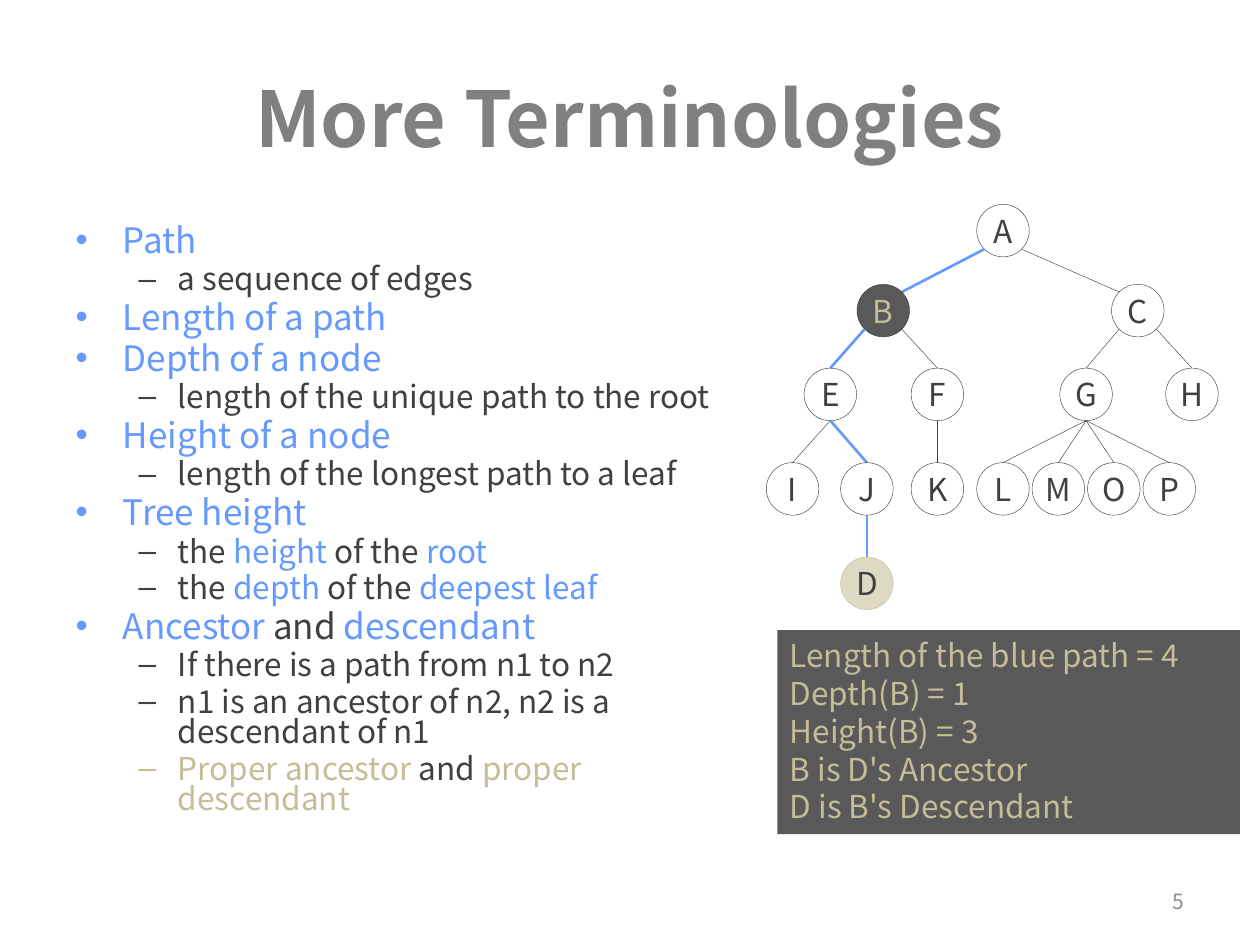
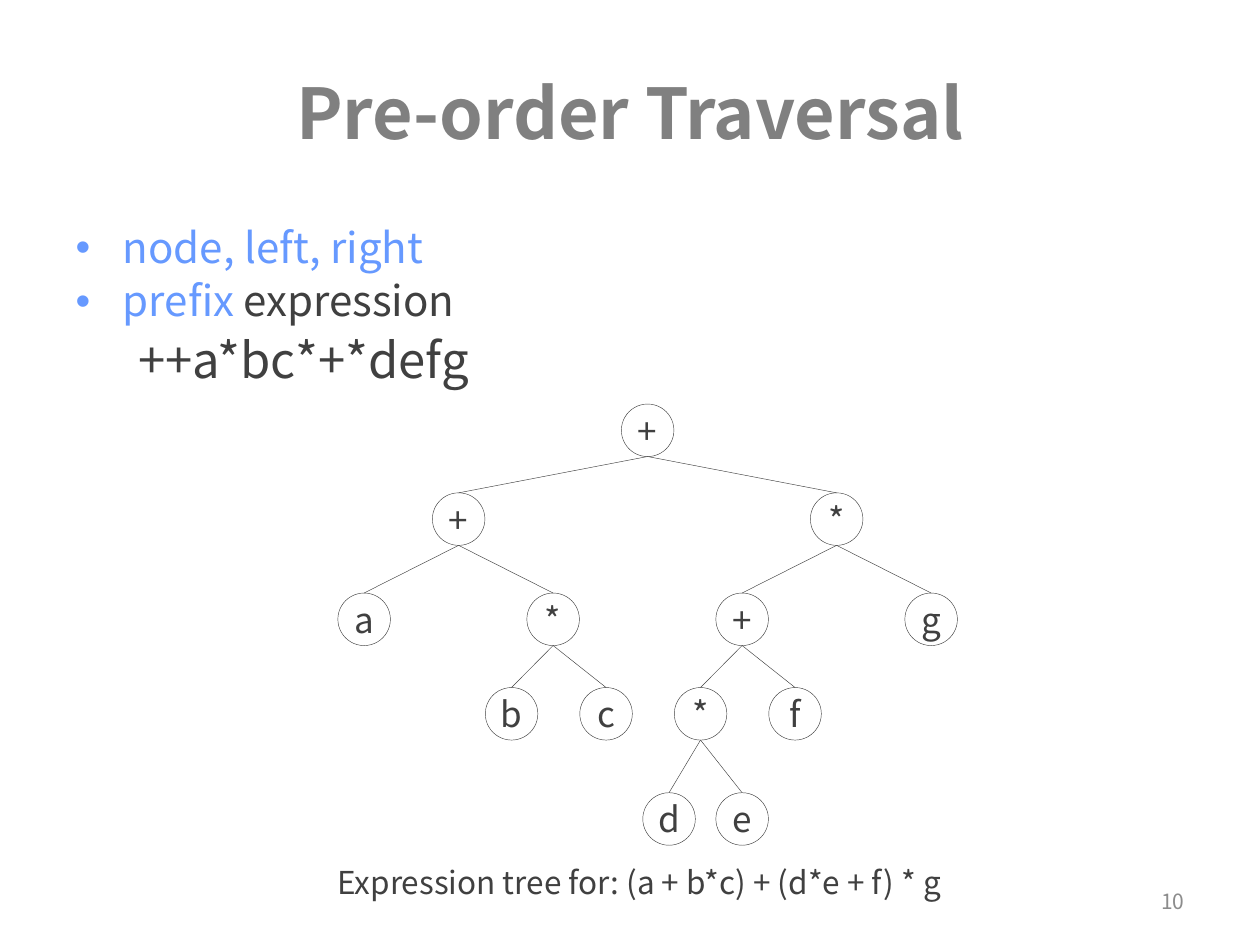
from dataclasses import dataclass
from math import sqrt

from lxml import etree
from pptx import Presentation
from pptx.dml.color import RGBColor
from pptx.enum.shapes import MSO_CONNECTOR, MSO_SHAPE
from pptx.enum.text import MSO_ANCHOR, MSO_AUTO_SIZE, PP_ALIGN
from pptx.oxml.ns import qn
from pptx.util import Inches, Pt

OVAL, RECT, STRAIGHT = MSO_SHAPE.OVAL, MSO_SHAPE.RECTANGLE, MSO_CONNECTOR.STRAIGHT
TOP, MIDDLE = MSO_ANCHOR.TOP, MSO_ANCHOR.MIDDLE
LEFT, CENTER, RIGHT = PP_ALIGN.LEFT, PP_ALIGN.CENTER, PP_ALIGN.RIGHT
NO_FIT = MSO_AUTO_SIZE.NONE

# The slide is a grid of 100 columns by 75 rows of square cells
COLS, ROWS = 100, 75
CELL = Inches(0.1)


@dataclass(frozen=True)
class Theme:
    font: str = "Noto Sans CJK SC"
    grey: str = "808080"
    blue: str = "6699FF"
    ink: str = "404040"
    khaki: str = "C4BD97"
    sand: str = "DDD9C3"
    dark: str = "595959"
    footer: str = "8C8C8C"
    small: int = 12
    text: int = 18
    large: int = 20
    thin: float = 0.25
    thick: float = 1.5
    node: float = 4.17


T = Theme()
TITLE_BOX = (5, 3, 90, 12.5)
NUMBER_BOX = (71.7, 69.5, 23.3, 4)


# Shared helpers
def cells(*values):
    return [round(v * CELL) for v in values]


def set_all(obj, **values):
    for name, value in values.items():
        setattr(obj, name, value)


def rgb(colour):
    return RGBColor.from_string(colour)


def place(sp, box):
    set_all(sp, **dict(zip(("left", "top", "width", "height"), cells(*box))))


def add_runs(p, runs, size, bold=None):
    for text, colour in runs:
        r = p.add_run()
        r.text = text
        set_all(r.font, name=T.font, size=Pt(size), bold=bold)
        r.font.color.rgb = rgb(colour)


def write(sp, lines, size, colour, align=LEFT, anchor=TOP, wrap=True):
    tf = sp.text_frame
    set_all(tf, word_wrap=wrap, auto_size=NO_FIT, vertical_anchor=anchor)
    for i, line in enumerate(lines):
        p = tf.add_paragraph() if i else tf.paragraphs[0]
        p.alignment = align
        add_runs(p, [(line, colour)], size)


def add_box(shapes, kind, box, fill=None, line=None):
    sp = shapes.add_shape(kind, *cells(*box))
    sp.shadow.inherit = False
    if fill:
        sp.fill.solid()
        sp.fill.fore_color.rgb = rgb(fill)
    else:
        sp.fill.background()
    if line:
        sp.line.color.rgb = rgb(line)
        sp.line.width = Pt(T.thin)
    else:
        sp.line.fill.background()
    return sp


def add_text(shapes, box, line, size, colour, **layout):
    write(shapes.add_textbox(*cells(*box)), [line], size, colour, **layout)


# Title and page number, alike on every slide
def add_frame(prs, title, size, number, spacing=None):
    s = prs.slides.add_slide(prs.slide_layouts[1])
    sp = s.shapes.title
    place(sp, TITLE_BOX)
    set_all(sp.text_frame, auto_size=NO_FIT, vertical_anchor=MIDDLE)
    p = sp.text_frame.paragraphs[0]
    set_all(p, alignment=CENTER, line_spacing=spacing)
    add_runs(p, [(title, T.grey)], size, bold=True)
    add_text(s.shapes, NUMBER_BOX, number, T.small, T.footer,
             align=RIGHT, anchor=MIDDLE)
    return s


# Outline in the body placeholder; each item is (level, runs)
def add_outline(s, box, items, sizes, spacing):
    sp = s.placeholders[1]
    place(sp, box)
    tf = sp.text_frame
    tf.auto_size = NO_FIT
    for i, (level, runs) in enumerate(items):
        p = tf.add_paragraph() if i else tf.paragraphs[0]
        set_all(p, level=level, line_spacing=spacing)
        add_runs(p, runs, sizes[level])
    return tf


def drop_bullet(p, indent):
    pPr = p._p.get_or_add_pPr()
    pPr.set("marL", str(cells(indent)[0]))
    pPr.set("indent", "0")
    etree.SubElement(pPr, qn("a:buNone"))


# Trees: a node is (label, columns from its parent, children)
def add_edge(shapes, start, end, colour, width):
    c = shapes.add_connector(STRAIGHT, *cells(*start, *end))
    c.line.color.rgb = rgb(colour)
    c.line.width = Pt(width)
    etree.SubElement(c._element.spPr, qn("a:effectLst"))


def port(x, y, side, down, corner):
    """Point on a node's rim: a corner on the given side, or its top or foot."""
    radius = T.node / 2
    if corner:
        return x + side * radius / sqrt(2), y + down * radius / sqrt(2)
    return x, y + down * radius


def add_tree(shapes, node, x, rows, size, corners=0, route="", styles=None, depth=0):
    """Draw node centred at column x; levels above `corners` join at corners."""
    label, _, children = node
    y = rows[depth]
    fill, line, colour = (styles or {}).get(label, (None, T.ink, T.ink))
    box = (x - T.node / 2, y - T.node / 2, T.node, T.node)
    sp = add_box(shapes, OVAL, box, fill, line)
    write(sp, [label], size, colour, align=CENTER, anchor=MIDDLE, wrap=False)
    for child in children:
        name, dx, _ = child
        side = 1 if dx > 0 else -1
        on_route = label in route and name in route
        add_edge(shapes,
                 port(x, y, side, 1, depth < corners),
                 port(x + dx, rows[depth + 1], -side, -1, depth + 1 < corners),
                 *((T.blue, T.thick) if on_route else (T.ink, T.thin)))
        add_tree(shapes, child, x + dx, rows, size, corners, route, styles, depth + 1)


def leaf(label, dx):
    return label, dx, ()


# Slide content
TERMS = [
    (0, [("Path", T.blue)]),
    (1, [("a sequence of edges", T.ink)]),
    (0, [("Length of a path", T.blue)]),
    (0, [("Depth of a node", T.blue)]),
    (1, [("length of the unique path to the root", T.ink)]),
    (0, [("Height of a node", T.blue)]),
    (1, [("length of the longest path to a leaf", T.ink)]),
    (0, [("Tree height", T.blue)]),
    (1, [("the ", T.ink), ("height", T.blue), (" of the ", T.ink), ("root", T.blue)]),
    (1, [("the ", T.ink), ("depth", T.blue), (" of the ", T.ink),
         ("deepest leaf", T.blue)]),
    (0, [("Ancestor", T.blue), (" and ", T.ink), ("descendant", T.blue)]),
    (1, [("If there is a path from n1 to n2", T.ink)]),
    (1, [("n1 is an ancestor of n2, n2 is a descendant of n1", T.ink)]),
    (1, [("Proper ancestor ", T.khaki), ("and ", T.ink),
         ("proper descendant", T.khaki)]),
]
FACTS = ["Length of the blue path = 4", "Depth(B) = 1", "Height(B) = 3",
         "B is D's Ancestor", "D is B's Descendant"]
LETTER_TREE = ("A", 0, (
    ("B", -9.5, (
        ("E", -4.2, (leaf("I", -3), ("J", 2.9, (leaf("D", 0),)))),
        ("F", 4.3, (leaf("K", 0),)))),
    ("C", 10.7, (
        ("G", -4.1, (leaf("L", -6.6), leaf("M", -2.2), leaf("O", 2.2), leaf("P", 6.6))),
        leaf("H", 4.3)))))
NODE_STYLES = {"B": (T.dark, T.ink, T.khaki), "D": (T.sand, T.khaki, T.ink)}

PREFIX = [
    (0, [("node, left, right", T.blue)]),
    (0, [("prefix", T.blue), (" expression", T.ink)]),
    (1, [("++a*bc*+*defg", T.ink)]),
]
EXPRESSION_TREE = ("+", 0, (
    ("+", -15, (
        leaf("a", -7.5),
        ("*", 7.5, (leaf("b", -3.3), leaf("c", 4.2))))),
    ("*", 15, (
        ("+", -7.5, (
            ("*", -3.3, (leaf("d", -2.5), leaf("e", 3.3))),
            leaf("f", 4.2))),
        leaf("g", 7.5)))))


def terminology_slide(prs):
    s = add_frame(prs, "More Terminologies", 44, "5")
    add_outline(s, (5, 17.5, 53.3, 52), TERMS, (T.large, T.text), 0.8)
    add_tree(s.shapes, LETTER_TREE, 79.6, (18.3, 24.65, 31.3, 38.8, 46.3), T.text,
             corners=2, route="ABEJD", styles=NODE_STYLES)
    facts = add_box(s.shapes, RECT, (61.7, 50, 36.7, 16.2), T.dark)
    write(facts, FACTS, T.text, T.khaki)


def traversal_slide(prs):
    s = add_frame(prs, "Pre-order Traversal", 40, "10", spacing=0.9)
    tf = add_outline(s, (5, 17.5, 90, 16.3), PREFIX, (24, 28), 0.9)
    drop_bullet(tf.paragraphs[-1], 5)
    group = s.shapes.add_group_shape().shapes
    add_tree(group, EXPRESSION_TREE, 51.4, (34.15, 41.2, 49.15, 56.65, 65), T.large)
    add_text(group, (25.8, 68, 51.2, 4),
             "Expression tree for: (a + b*c) + (d*e + f) * g", T.text, T.ink, wrap=False)


def main():
    prs = Presentation()
    set_all(prs, slide_width=COLS * CELL, slide_height=ROWS * CELL)
    terminology_slide(prs)
    traversal_slide(prs)
    prs.save("out.pptx")


if __name__ == "__main__":
    main()
